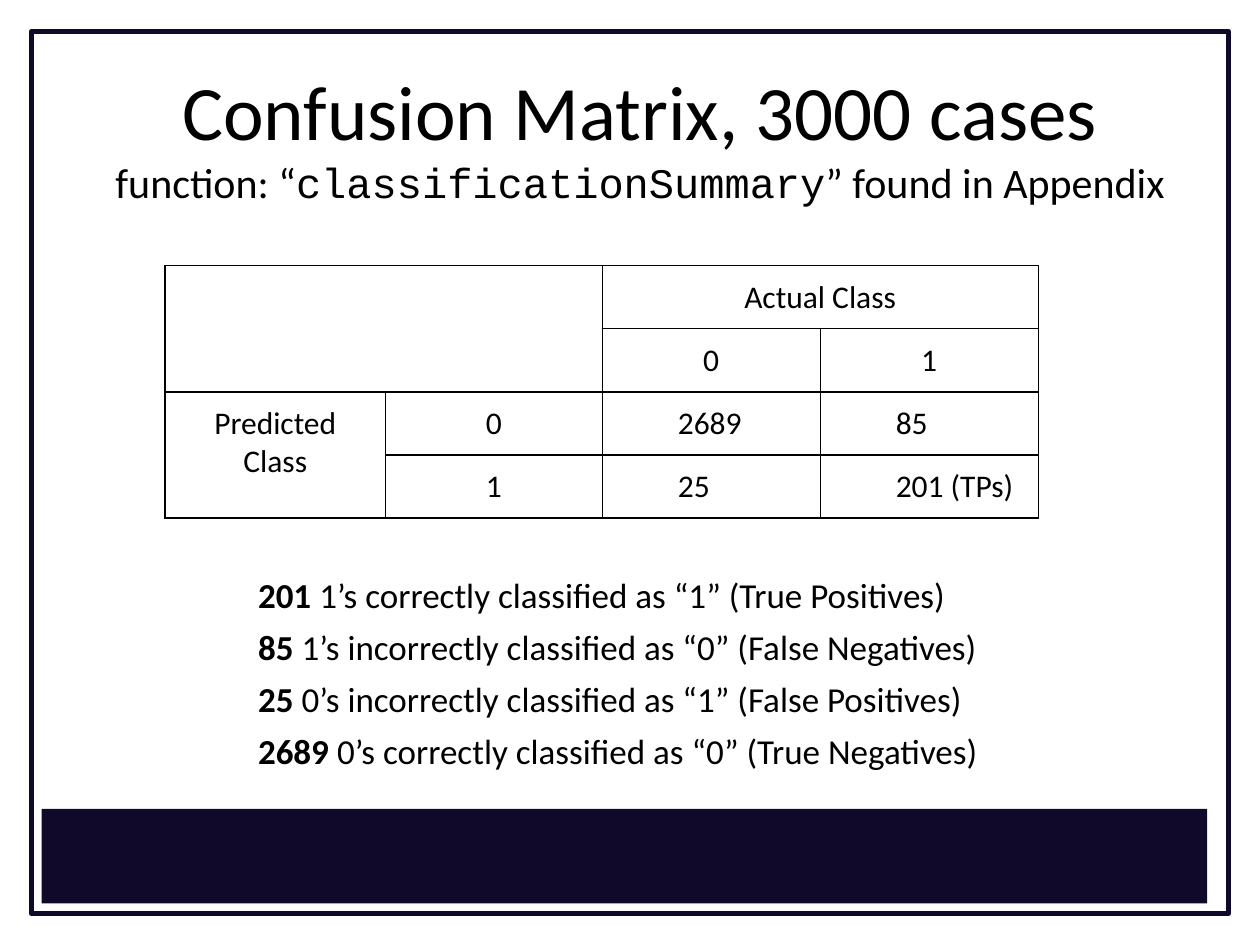
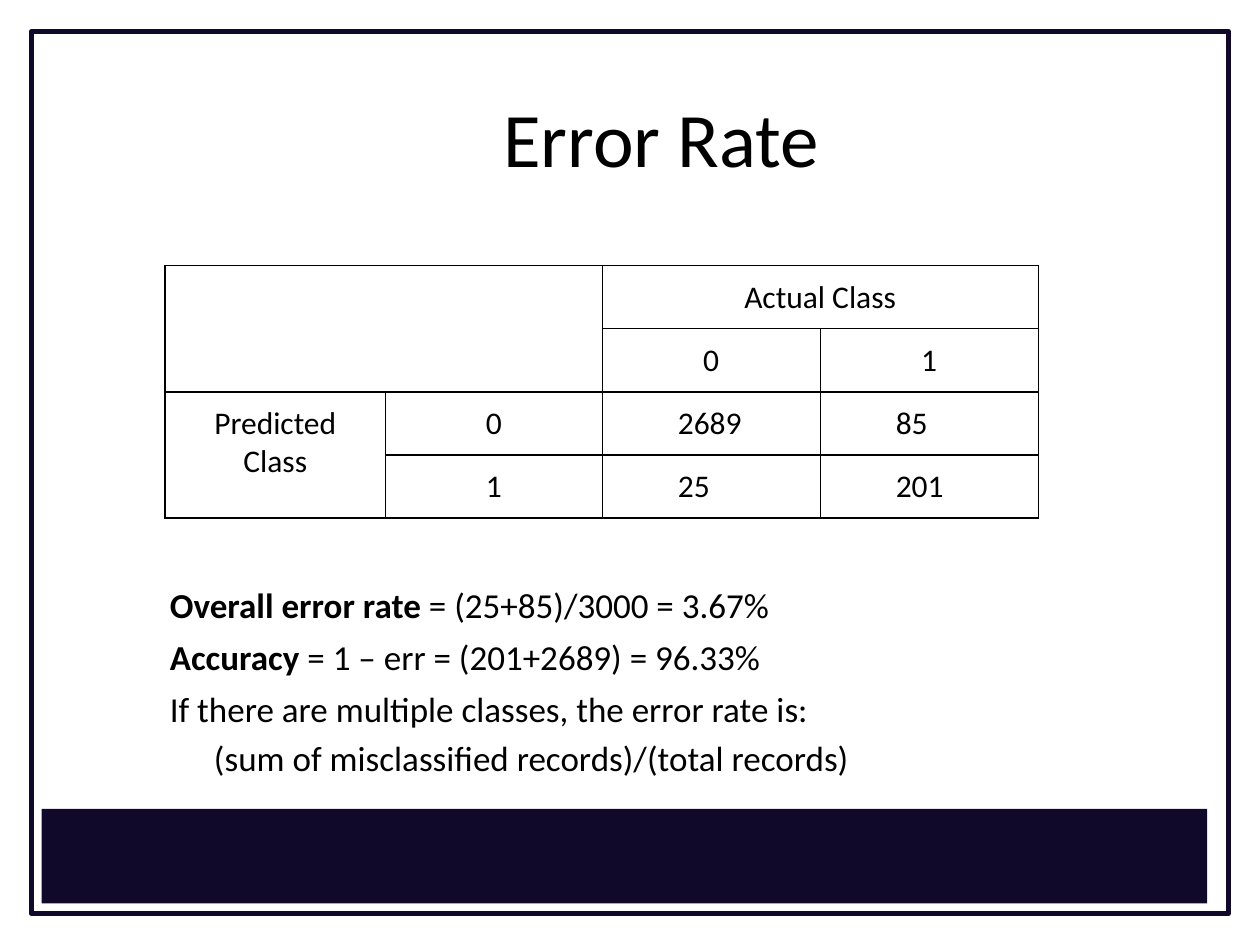
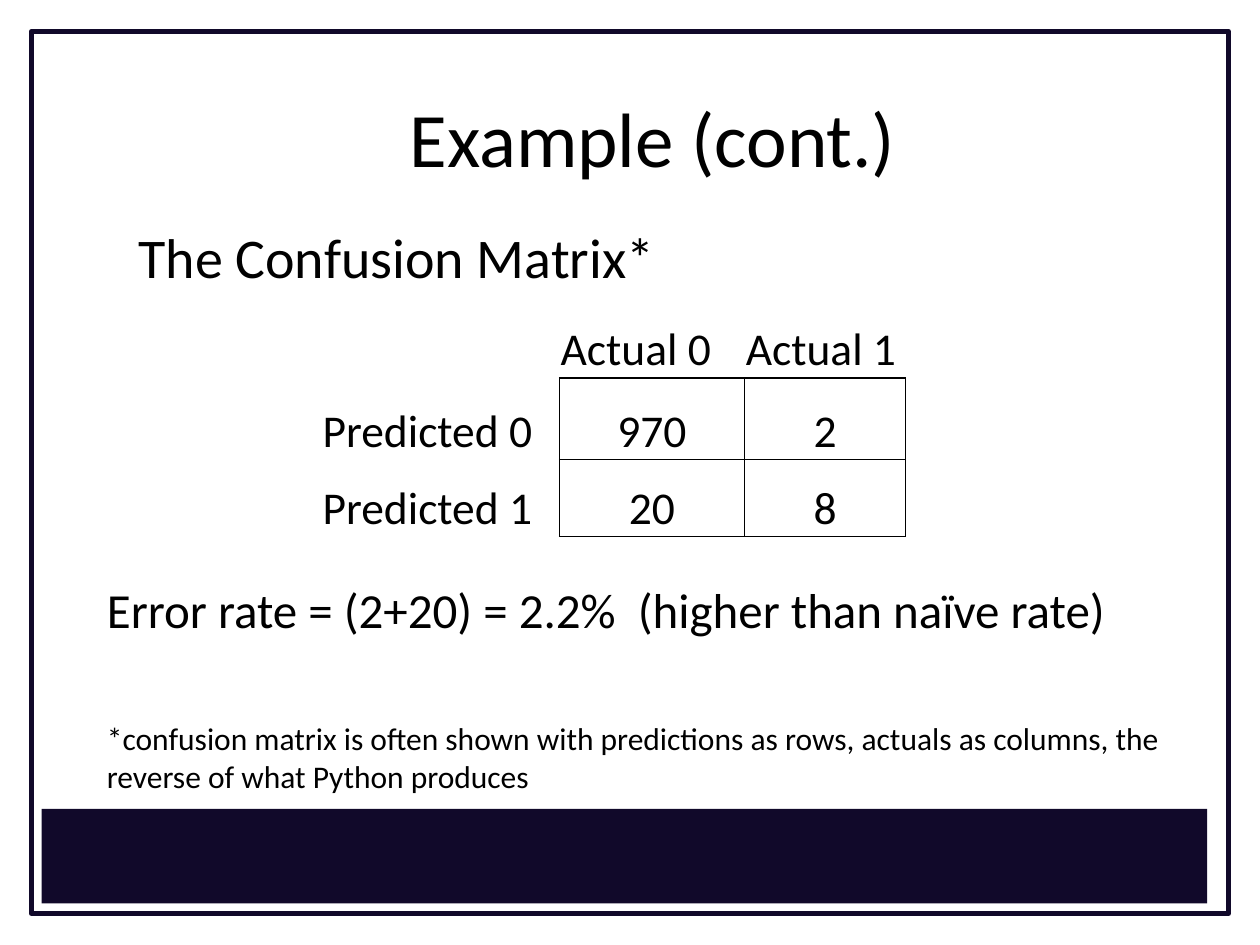
from lxml import etree
from pptx import Presentation
from pptx.dml.color import RGBColor
from pptx.enum.shapes import MSO_SHAPE
from pptx.enum.text import MSO_ANCHOR, PP_ALIGN
from pptx.oxml.ns import qn
from pptx.util import Inches, Pt

RECTANGLE = MSO_SHAPE.RECTANGLE
TOP, BOTTOM = MSO_ANCHOR.TOP, MSO_ANCHOR.BOTTOM
LEFT, CENTER = PP_ALIGN.LEFT, PP_ALIGN.CENTER

COLORS = {"navy": "11092A", "text": "000000"}
BODY_FONT, CODE_FONT = "Calibri", "Courier New"
TITLE_SIZE = 44
FRAME = (0.25, 0.25, 9.5, 7)
BAND = (0.33, 6.42, 9.25, 0.75)
ALL_SIDES = ("L", "R", "T", "B")


def style_run(run, size, bold=False, font=BODY_FONT):
    run.font.size = Pt(size)
    run.font.bold = bold
    run.font.name = font
    run.font.color.rgb = RGBColor.from_string(COLORS["text"])


def set_borders(cell, sides):
    """Draw a thin line on the given sides and none on the others."""
    properties = cell._tc.get_or_add_tcPr()
    for position, side in enumerate(ALL_SIDES):
        line = etree.Element(qn(f"a:ln{side}"), w=str(Pt(0.75)))
        if side in sides:
            fill = etree.SubElement(line, qn("a:solidFill"))
            etree.SubElement(fill, qn("a:srgbClr"), val=COLORS["text"])
        else:
            etree.SubElement(line, qn("a:noFill"))
        properties.insert(position, line)


presentation = Presentation()
presentation.slide_width = Inches(10)
presentation.slide_height = Inches(7.5)
blank_layout = presentation.slide_layouts[6]

# Shared frame, footer band and title
titles = [
    ("Confusion Matrix, 3000 cases", (0.5, 0.3, 9.16, 1.44)),
    ("Error Rate", (1, 0.3, 8.5, 1.25)),
    ("Example (cont.) ", (1, 0.3, 8.5, 1.25)),
]
title_paragraphs = []
for title, title_box in titles:
    slide = presentation.slides.add_slide(blank_layout)
    frame = slide.shapes.add_shape(RECTANGLE, *map(Inches, FRAME))
    frame.fill.background()
    frame.line.color.rgb = RGBColor.from_string(COLORS["navy"])
    frame.line.width = Pt(3)
    band = slide.shapes.add_shape(RECTANGLE, *map(Inches, BAND))
    band.fill.solid()
    band.fill.fore_color.rgb = RGBColor.from_string(COLORS["navy"])
    band.line.fill.background()
    for shape in (frame, band):
        shape.shadow.inherit = False

    text_frame = slide.shapes.add_textbox(*map(Inches, title_box)).text_frame
    text_frame.word_wrap = True
    text_frame.vertical_anchor = BOTTOM
    text_frame.margin_bottom = Inches(0.1)
    paragraph = text_frame.paragraphs[0]
    paragraph.alignment = CENTER
    paragraph.text = title
    style_run(paragraph.runs[0], TITLE_SIZE)
    title_paragraphs.append(paragraph)

# Second title line of the first slide
title_paragraphs[0].add_line_break()
for text, font in [
    ("function: “", BODY_FONT),
    ("classificationSummary", CODE_FONT),
    ("” found in Appendix", BODY_FONT),
]:
    run = title_paragraphs[0].add_run()
    run.text = text
    style_run(run, 24, font=font)

# Body text: each paragraph is (bold lead, rest, size, left, indent, space before)
text_boxes = [
    (0, (1.95, 4.5, 6.5, 1.75), [
        ("201", " 1’s correctly classified as “1” (True Positives)", 20, 0.3, -0.3, 0),
        ("85", " 1’s incorrectly classified as “0” (False Negatives)", 20, 0.3, -0.3, 5.8),
        ("25", " 0’s incorrectly classified as “1” (False Positives)", 20, 0.3, -0.3, 5.8),
        ("2689", " 0’s correctly classified as “0” (True Negatives)", 20, 0.3, -0.3, 5.8),
    ]),
    (1, (1.25, 4.58, 7.83, 1.8), [
        ("Overall error rate", " = (25+85)/3000 = 3.67%", 20, 0.3, -0.3, 0),
        ("Accuracy", " = 1 – err = (201+2689) = 96.33%", 20, 0.3, -0.3, 5.8),
        ("", "If there are multiple classes, the error rate is:", 20, 0.3, -0.3, 5.8),
        ("", "(sum of misclassified records)/(total records)", 20, 0.6, -0.25, 3.8),
    ]),
    (2, (0.75, 4.55, 8.75, 1.8), [
        ("", "Error rate = (2+20) = 2.2%  (higher than naïve rate)", 28, 0.3, -0.3, 0),
        ("", "*confusion matrix is often shown with predictions as rows, "
         "actuals as columns, the reverse of what Python produces", 18, 0, 0, 46),
    ]),
    (2, (1, 1.72, 6.58, 0.64), [("", "The Confusion Matrix*", 32, 0, 0, 0)]),
]
for slide_index, box, paragraphs in text_boxes:
    slide = presentation.slides[slide_index]
    text_frame = slide.shapes.add_textbox(*map(Inches, box)).text_frame
    text_frame.word_wrap = True
    for number, (lead, rest, size, left, indent, space_before) in enumerate(paragraphs):
        paragraph = text_frame.add_paragraph() if number else text_frame.paragraphs[0]
        paragraph.space_before = Pt(space_before)
        paragraph_properties = paragraph._p.get_or_add_pPr()
        paragraph_properties.set("marL", str(Inches(left)))
        paragraph_properties.set("indent", str(Inches(indent)))
        for text, bold in ((lead, True), (rest, False)):
            if text:
                run = paragraph.add_run()
                run.text = text
                style_run(run, size, bold)

# Confusion matrix of the 3000 cases
column_widths = (1.75, 1.72, 1.73, 1.73)
row_height = 0.5
for slide_index, true_positives in enumerate(("201 (TPs)", "201")):
    rows = [
        ("", "", "Actual Class", ""),
        ("", "", "0", "1"),
        ("Predicted\nClass", "0", "2689", "85"),
        ("", "1", "25", true_positives),
    ]
    table = presentation.slides[slide_index].shapes.add_table(
        4, 4, Inches(1.31), Inches(2.11), Inches(sum(column_widths)), Inches(4 * row_height)
    ).table
    table.first_row = table.horz_banding = False
    for column, width in zip(table.columns, column_widths):
        column.width = Inches(width)
    for row_index, row in enumerate(rows):
        for column_index, text in enumerate(row):
            cell = table.cell(row_index, column_index)
            cell.margin_top = cell.margin_bottom = Inches(0.1)
            cell.margin_left = cell.margin_right = Inches(0.1)
            cell.fill.background()
            set_borders(cell, ALL_SIDES)
            cell.text_frame.text = text
            is_count = row_index > 1 and column_index > 1
            for paragraph in cell.text_frame.paragraphs:
                paragraph.alignment = LEFT if is_count else CENTER
                if is_count:
                    paragraph._p.get_or_add_pPr().set("marL", str(Inches(0.5)))
                for run in paragraph.runs:
                    style_run(run, 18)
    table.cell(0, 0).merge(table.cell(1, 1))
    table.cell(0, 2).merge(table.cell(0, 3))
    table.cell(2, 0).merge(table.cell(3, 0))

# Confusion matrix of the example
example_rows = [
    ("", "Actual 0", "Actual 1"),
    ("Predicted 0", "970", "2"),
    ("Predicted 1", "20", "8"),
]
example_widths = (1.89, 1.47, 1.28)
example_heights = (0.47, 0.65, 0.61)
table = presentation.slides[2].shapes.add_table(
    3, 3, Inches(2.55), Inches(2.53), Inches(sum(example_widths)), Inches(sum(example_heights))
).table
table.first_row = table.horz_banding = False
for column, width in zip(table.columns, example_widths):
    column.width = Inches(width)
for row, height in zip(table.rows, example_heights):
    row.height = Inches(height)
for row_index, row in enumerate(example_rows):
    for column_index, text in enumerate(row):
        cell = table.cell(row_index, column_index)
        cell.margin_left = cell.margin_right = cell.margin_top = Inches(0.01)
        cell.margin_bottom = 0
        cell.vertical_anchor = BOTTOM
        cell.fill.background()
        is_count = row_index > 0 and column_index > 0
        if is_count:
            set_borders(cell, ALL_SIDES)
        elif column_index:
            set_borders(cell, ("B",))
        else:
            set_borders(cell, ("R",) if row_index else ())
        cell.text_frame.text = text
        paragraph = cell.text_frame.paragraphs[0]
        paragraph.alignment = CENTER if is_count else LEFT
        for run in paragraph.runs:
            style_run(run, 26)

presentation.save("out.pptx")
